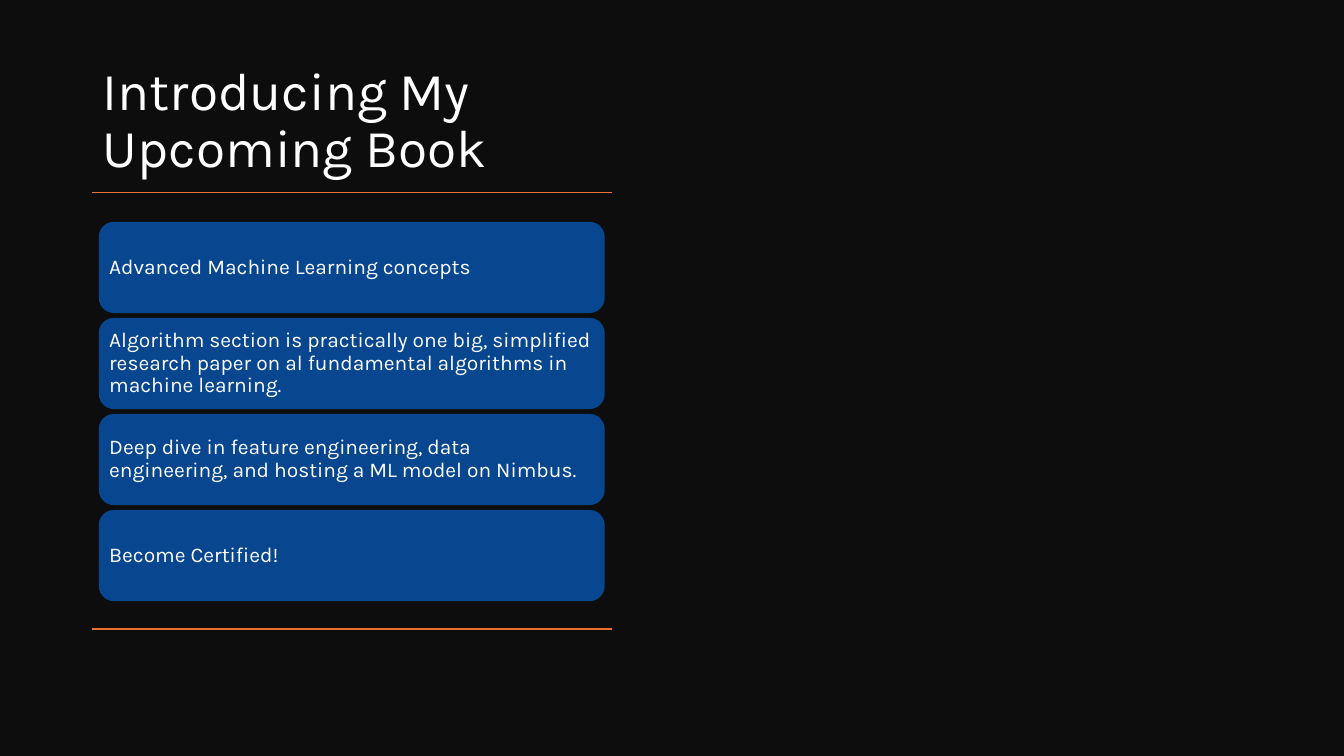
from dataclasses import dataclass

from lxml.etree import SubElement
from pptx import Presentation
from pptx.dml.color import RGBColor
from pptx.enum.shapes import MSO_CONNECTOR, MSO_SHAPE
from pptx.enum.text import MSO_ANCHOR, MSO_AUTO_SIZE, PP_ALIGN
from pptx.oxml.ns import qn
from pptx.slide import Slide
from pptx.text.text import TextFrame
from pptx.util import Cm, Pt


@dataclass(frozen=True)
class Theme:
    font: str = "Karla"
    background: str = "0D0D0D"
    text: str = "FFFFFF"
    card: str = "084690"
    rule: str = "E97132"
    title_size: float = 38
    card_size: float = 15
    rule_width: float = 1


@dataclass(frozen=True)
class Card:
    text: str
    top: float


THEME = Theme()

# Card column, in centimetres
CARD_LEFT, CARD_TOP = 2.49, 5.59
CARD_WIDTH, CARD_HEIGHT, CARD_PITCH = 12.75, 2.3, 2.42
CARD_INSET = 0.15

TOPICS = [
    "Advanced Machine Learning concepts",
    "Algorithm section is practically one big, simplified research paper "
    "on al fundamental algorithms in machine learning.",
    "Deep dive in feature engineering, data engineering, "
    "and hosting a ML model on Nimbus.",
    "Become Certified!",
]
CARDS = [Card(topic, CARD_TOP + index * CARD_PITCH) for index, topic in enumerate(TOPICS)]

# Rules above and below the cards
RULE_LEFT, RULE_RIGHT = 2.31, 15.42
RULE_HEIGHTS = (4.85, 15.85)


def write_text(frame: TextFrame, text: str, *, size: float, anchor: MSO_ANCHOR) -> None:
    frame.word_wrap = True
    frame.auto_size = MSO_AUTO_SIZE.NONE
    frame.vertical_anchor = anchor
    para = frame.paragraphs[0]
    para.alignment = PP_ALIGN.LEFT
    para.line_spacing = 0.9
    para.space_before = Pt(0)
    span = para.add_run()
    span.text = text
    span.font.name = THEME.font
    span.font.size = Pt(size)
    span.font.color.rgb = RGBColor.from_string(THEME.text)


def add_title(page: Slide, text: str) -> None:
    title = page.shapes.title
    title.left, title.top = Cm(2.34), Cm(1.24)
    title.width, title.height = Cm(13.08), Cm(3.4)
    write_text(title.text_frame, text, size=THEME.title_size, anchor=MSO_ANCHOR.BOTTOM)


def add_rule(page: Slide, height: float) -> None:
    rule = page.shapes.add_connector(
        MSO_CONNECTOR.STRAIGHT, Cm(RULE_RIGHT), Cm(height), Cm(RULE_LEFT), Cm(height)
    )
    rule.line.color.rgb = RGBColor.from_string(THEME.rule)
    rule.line.width = Pt(THEME.rule_width)
    SubElement(rule._element.spPr, qn("a:effectLst"))


def add_card(page: Slide, card: Card) -> None:
    box = page.shapes.add_shape(
        MSO_SHAPE.ROUNDED_RECTANGLE,
        Cm(CARD_LEFT), Cm(card.top), Cm(CARD_WIDTH), Cm(CARD_HEIGHT),
    )
    box.shadow.inherit = False
    box.fill.solid()
    box.fill.fore_color.rgb = RGBColor.from_string(THEME.card)
    box.line.fill.background()
    frame = box.text_frame
    frame.margin_left = frame.margin_right = Cm(CARD_INSET)
    frame.margin_top = frame.margin_bottom = Cm(CARD_INSET)
    write_text(frame, card.text, size=THEME.card_size, anchor=MSO_ANCHOR.MIDDLE)


def main() -> None:
    deck = Presentation()
    deck.slide_width, deck.slide_height = Cm(33.87), Cm(19.05)
    page = deck.slides.add_slide(deck.slide_layouts.get_by_name("Title Only"))

    # Dark background
    page.background.fill.solid()
    page.background.fill.fore_color.rgb = RGBColor.from_string(THEME.background)

    # Title, rules and topic cards
    add_title(page, "Introducing My Upcoming Book")
    for height in RULE_HEIGHTS:
        add_rule(page, height)
    for card in CARDS:
        add_card(page, card)

    deck.save("out.pptx")


if __name__ == "__main__":
    main()
